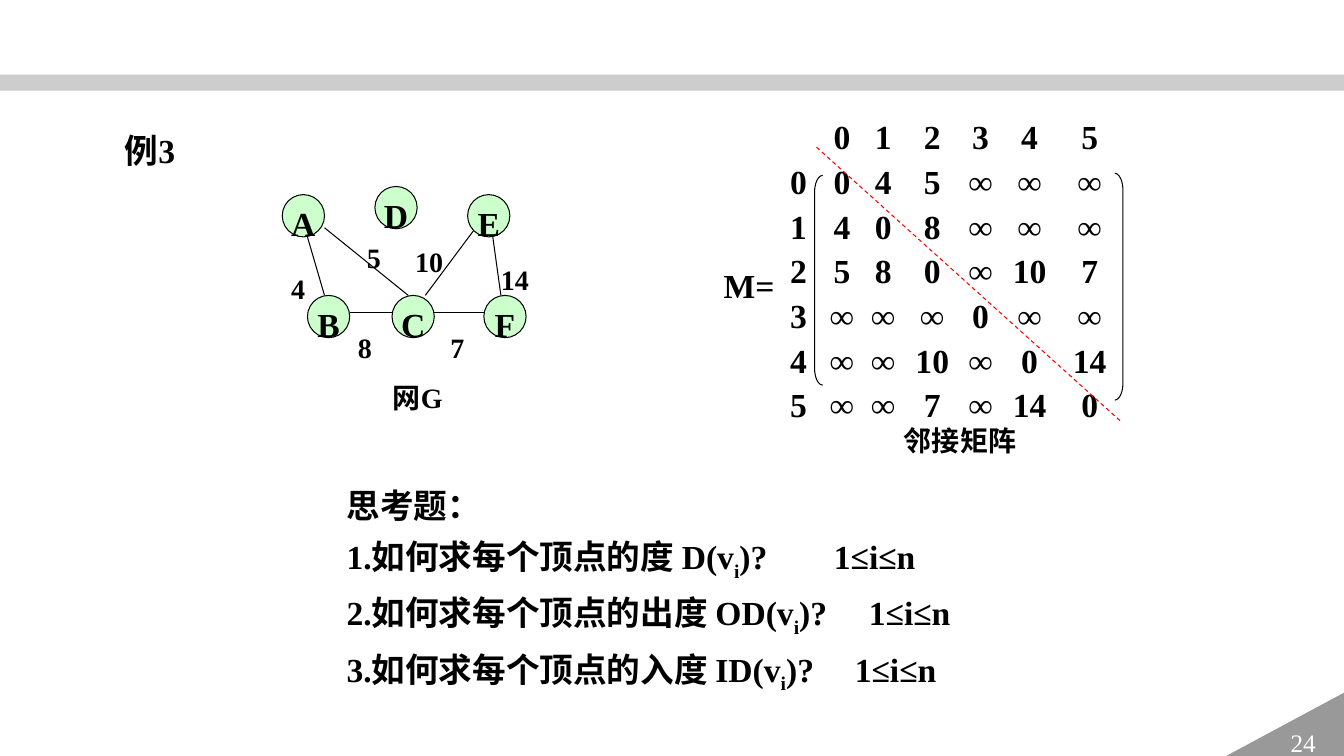
from lxml import etree
from pptx import Presentation
from pptx.dml.color import RGBColor
from pptx.enum.dml import MSO_LINE
from pptx.enum.shapes import MSO_CONNECTOR, MSO_SHAPE
from pptx.enum.text import MSO_ANCHOR, PP_ALIGN
from pptx.oxml.ns import qn
from pptx.util import Pt

FONT = "Times New Roman"
COLORS = {"ink": "000000", "node": "CCFFCC", "diagonal": "FF0000",
          "bar": "A6A6A6", "corner": "999999", "white": "FFFFFF"}
NODE_SIZE = 30.2

# Node name: left, top
NODES = {"A": (201.6, 139), "B": (219.6, 211), "C": (280, 211),
         "D": (267.8, 133.2), "E": (334, 139), "F": (345.6, 211)}
# Edge: start x, start y, end x, end y
EDGES = [(219.6, 169.2, 231.8, 211), (249.8, 223.2, 280, 223.2),
         (231.8, 162.7, 291.6, 211), (309.6, 223.2, 345.6, 223.2),
         (303.8, 211, 339.8, 162.7), (352, 169.2, 357.8, 211)]
# Edge weight: text, left, top
WEIGHTS = [("4", 208, 189.2), ("5", 262, 167), ("8", 255.6, 231),
           ("10", 296.6, 169.8), ("7", 321.8, 231), ("14", 357.8, 182.8)]

MATRIX = [["", "0", "1", "2", "3", "4", "5"],
          ["0", "0", "4", "5", "∞", "∞", "∞"],
          ["1", "4", "0", "8", "∞", "∞", "∞"],
          ["2", "5", "8", "0", "∞", "10", "7"],
          ["3", "∞", "∞", "∞", "0", "∞", "∞"],
          ["4", "∞", "∞", "10", "∞", "0", "14"],
          ["5", "∞", "∞", "7", "∞", "14", "0"]]
MATRIX_TABS = [37, 66.5, 101.5, 136, 171, 214]

# Question: text before the subscript, tab stop of the range
QUESTIONS = [("1.如何求每个顶点的度 D(v", 348),
             ("2.如何求每个顶点的出度 OD(v", 373),
             ("3.如何求每个顶点的入度 ID(v", 363)]


def rgb(name):
    return RGBColor.from_string(COLORS[name])


def add_tabs(p, stops, align):
    tabs = etree.SubElement(p._p.get_or_add_pPr(), qn("a:tabLst"))
    for stop in stops:
        etree.SubElement(tabs, qn("a:tab"), pos=str(Pt(stop)), algn=align)


def write(sp, paragraphs, size=24, color="ink", bold=True, align=PP_ALIGN.LEFT,
          anchor=MSO_ANCHOR.TOP, insets=(7.2, 3.6, 7.2, 3.6), wrap=True,
          spacing=None, gap=0, tabs=(), tab_align="l"):
    """Each paragraph is a list of runs; a run starting with _ is a subscript.

    tabs holds one list of stops for each paragraph.
    """
    tf = sp.text_frame
    tf.word_wrap = wrap
    tf.vertical_anchor = anchor
    tf.margin_left, tf.margin_top, tf.margin_right, tf.margin_bottom = map(Pt, insets)
    for i, runs in enumerate(paragraphs):
        p = tf.add_paragraph() if i else tf.paragraphs[0]
        p.alignment = align
        if spacing:
            p.line_spacing = spacing
        if i:
            p.space_before = Pt(gap)
        if tabs and tabs[i]:
            add_tabs(p, tabs[i], tab_align)
        for text in runs:
            r = p.add_run()
            r.text = text.lstrip("_")
            r.font.name, r.font.size, r.font.bold = FONT, Pt(size), bold
            r.font.color.rgb = rgb(color)
            if text.startswith("_"):
                r.font._element.set("baseline", "-25000")


def add_text(slide, box, paragraphs, **fmt):
    write(slide.shapes.add_textbox(*map(Pt, box)), paragraphs, **fmt)


def add_preset(slide, kind, box, fill=None, line=None):
    sp = slide.shapes.add_shape(kind, *map(Pt, box))
    sp.shadow.inherit = False
    if fill:
        sp.fill.solid()
        sp.fill.fore_color.rgb = rgb(fill)
    else:
        sp.fill.background()
    if line:
        sp.line.color.rgb = rgb(line)
        sp.line.width = Pt(0.75)
    else:
        sp.line.fill.background()
    return sp


def add_line(slide, ends, color="ink", dash=None):
    line = slide.shapes.add_connector(MSO_CONNECTOR.STRAIGHT, *map(Pt, ends))
    line.line.color.rgb = rgb(color)
    line.line.width = Pt(0.75)
    if dash:
        line.line.dash_style = dash
    etree.SubElement(line._element.spPr, qn("a:effectLst"))


def add_frame(slide):
    bar = add_preset(slide, MSO_SHAPE.RECTANGLE, (0, 53.3, 960, 11.5), "bar")
    color = bar._element.spPr.find(qn("a:solidFill"))[0]
    etree.SubElement(color, qn("a:alpha"), val="56000")
    corner = add_preset(slide, MSO_SHAPE.RIGHT_TRIANGLE, (872, 494.6, 88.5, 47.5), "corner")
    corner._element.spPr.xfrm.set("flipH", "1")
    write(corner, [["24"]], size=18, color="white", bold=False, insets=(0, 0, 0, 0),
          align=PP_ALIGN.CENTER, anchor=MSO_ANCHOR.MIDDLE)


def add_graph(slide):
    for edge in EDGES:
        add_line(slide, edge)
    for name, (left, top) in NODES.items():
        node = add_preset(slide, MSO_SHAPE.OVAL, (left, top, NODE_SIZE, NODE_SIZE),
                          "node", "ink")
        write(node, [[name]], align=PP_ALIGN.CENTER, anchor=MSO_ANCHOR.MIDDLE,
              wrap=False, spacing=1.2, insets=(0, 4.4, 0, 0))
    for text, left, top in WEIGHTS:
        add_text(slide, (left, top, 30, 28), [[text]], size=20, spacing=1.2,
                 insets=(0, 0, 0, 0))
    add_text(slide, (273.6, 263.5, 50.4, 66), [["网G"]], size=20, spacing=1.2)


def add_matrix(slide):
    add_text(slide, (557.3, 79.5, 257.8, 223), [["\t".join(row)] for row in MATRIX],
             gap=3.1, tabs=[MATRIX_TABS] * len(MATRIX), tab_align="ctr")
    for kind, box in ((MSO_SHAPE.LEFT_BRACKET, (581.8, 125.3, 5.8, 149.8)),
                      (MSO_SHAPE.RIGHT_BRACKET, (796.3, 123.8, 5.8, 162))):
        bracket = add_preset(slide, kind, box, line="ink")
        bracket.adjustments[0] = 2.1
    add_text(slide, (509.8, 180, 51, 39), [["M="]], wrap=False, spacing=1.2)
    add_text(slide, (638.6, 294.5, 95, 34), [["邻接矩阵"]], size=20, wrap=False, spacing=1.2)
    add_line(slide, (583.2, 105.1, 800.6, 301), "diagonal", MSO_LINE.DASH)


def add_questions(slide):
    lines = [["思考题："]] + [[text, "_i", ")?\t1≤i≤n"] for text, _ in QUESTIONS]
    add_text(slide, (240.5, 343, 446, 170), lines, gap=7.5,
             tabs=[[]] + [[stop] for _, stop in QUESTIONS])


def main():
    prs = Presentation()
    prs.slide_width, prs.slide_height = Pt(960), Pt(540)
    slide = prs.slides.add_slide(prs.slide_layouts[6])
    add_frame(slide)
    add_text(slide, (82, 83.5, 142, 39), [["例3"]], spacing=1.2)
    add_graph(slide)
    add_matrix(slide)
    add_questions(slide)
    prs.save("out.pptx")


if __name__ == "__main__":
    main()
